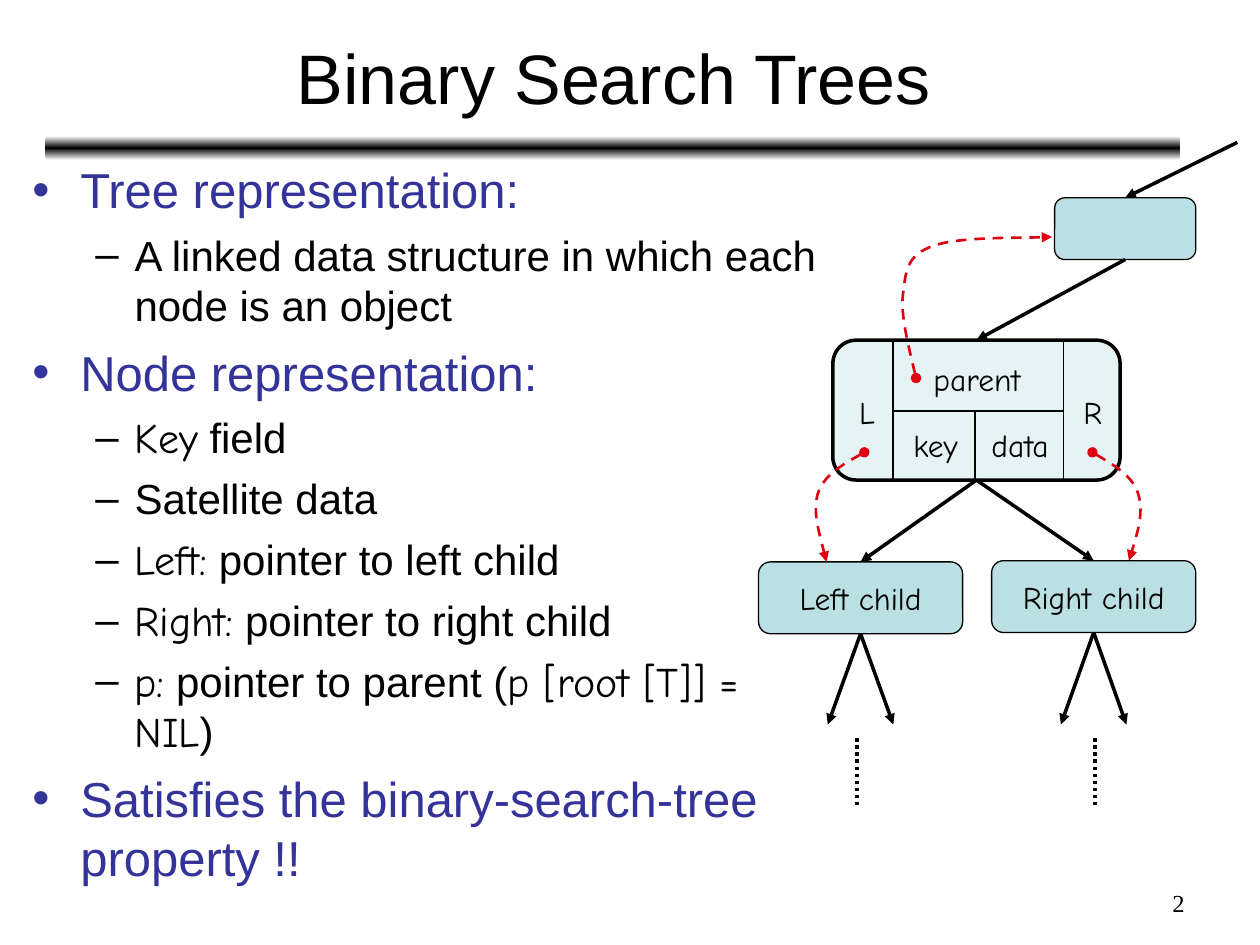
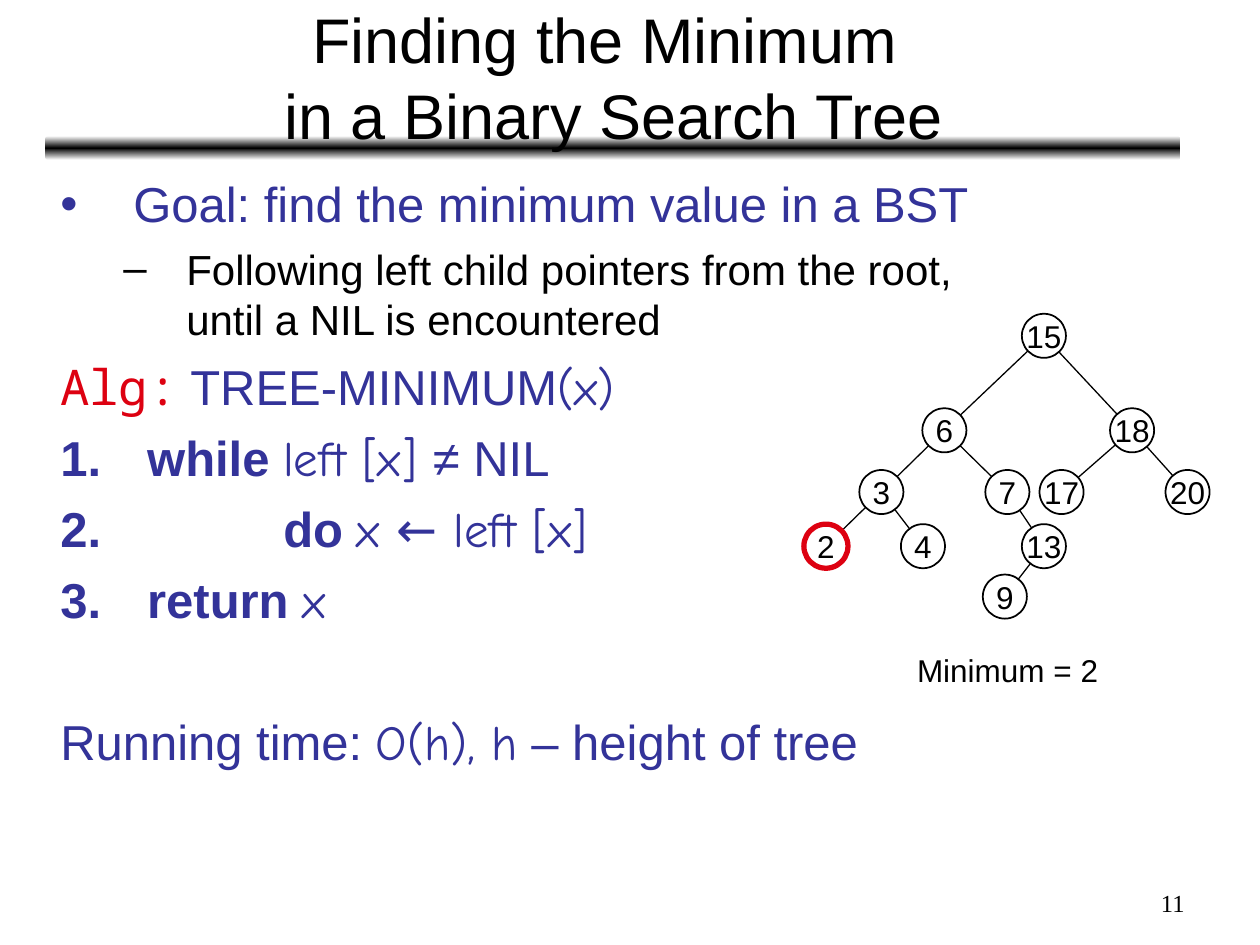
"""Build two lecture slides on binary search trees."""
from copy import deepcopy

from lxml import etree
from pptx import Presentation
from pptx.dml.color import RGBColor
from pptx.enum.dml import MSO_LINE
from pptx.enum.shapes import MSO_CONNECTOR, MSO_SHAPE
from pptx.enum.text import MSO_ANCHOR, MSO_AUTO_SIZE, PP_ALIGN
from pptx.oxml.ns import qn
from pptx.util import Inches, Pt

STRAIGHT = MSO_CONNECTOR.STRAIGHT
ROUNDED, OVAL = MSO_SHAPE.ROUNDED_RECTANGLE, MSO_SHAPE.OVAL
DASH, DOTS = MSO_LINE.DASH, MSO_LINE.ROUND_DOT
MIDDLE, FIT = MSO_ANCHOR.MIDDLE, MSO_AUTO_SIZE.SHAPE_TO_FIT_TEXT
LEFT, CENTER, RIGHT = PP_ALIGN.LEFT, PP_ALIGN.CENTER, PP_ALIGN.RIGHT
TOP_SIDE, BOTTOM_SIDE = 0, 2

COLORS = {"black": "000000", "white": "FFFFFF", "blue": "333399", "red": "DD0111",
          "teal": "BBE0E3", "pale": "E5F3F5"}
SANS, COMIC, MONO, SERIF = "Arial", "Comic Neue", "Noto Sans Mono", "Times New Roman"
LABEL = {"name": COMIC, "size": Pt(18)}
VALUE = {"name": SANS, "size": Pt(18)}
PAGE = {"name": SERIF, "size": Pt(14)}
TOPIC = {"name": SANS, "size": Pt(28), "color": "blue"}
DETAIL = {"name": SANS, "size": Pt(24)}
KEYWORD = {**TOPIC, "bold": True}
TOPIC_COMIC = {**TOPIC, "name": COMIC}
DETAIL_COMIC = {**DETAIL, "name": COMIC}
ALGORITHM = {**TOPIC, "name": MONO, "color": "red"}

TREE_NODES = {15: (8.11, 2.49), 6: (7.32, 3.24), 18: (8.81, 3.24), 3: (6.82, 3.73),
              7: (7.82, 3.73), 17: (8.25, 3.73), 20: (9.25, 3.73), 2: (6.38, 4.16),
              4: (7.15, 4.16), 13: (8.11, 4.16), 9: (7.8, 4.56)}
TREE_EDGES = [(15, 6), (15, 18), (6, 3), (6, 7), (18, 17), (18, 20), (3, 2), (3, 4),
              (7, 13), (13, 9)]
NODE_SIZE = 0.35


def rgb(color):
    """Return the colour of the given name."""
    return RGBColor.from_string(COLORS[color])


def add_runs(paragraph, runs):
    """Add (text, format) runs, turning line feeds into line breaks."""
    for text, values in runs:
        for index, line in enumerate(text.split("\n")):
            if index:
                paragraph.add_line_break()
            run = paragraph.add_run()
            run.text = line
            values = {"color": "black", **values}
            for name, value in values.items():
                if name != "color":
                    setattr(run.font, name, value)
            run.font.color.rgb = rgb(values["color"])


def set_frame(shape, **values):
    """Set text frame attributes and return the frame."""
    for name, value in values.items():
        setattr(shape.text_frame, name, value)
    return shape.text_frame


def add_text(slide, box, text, values, alignment=LEFT, **frame_values):
    """Add a text box holding one paragraph."""
    shape = slide.shapes.add_textbox(*map(Inches, box))
    paragraph = set_frame(shape, **frame_values).paragraphs[0]
    paragraph.alignment = alignment
    add_runs(paragraph, [(text, values)])


def add_shape(slide, kind, box, fill, line="black", width=0.75, text="", values=LABEL):
    """Add a filled, outlined shape with an optional centred label."""
    shape = slide.shapes.add_shape(kind, *map(Inches, box))
    shape.shadow.inherit = False
    shape.fill.solid()
    shape.fill.fore_color.rgb = rgb(fill)
    shape.line.color.rgb = rgb(line)
    shape.line.width = Pt(width)
    if text:
        frame = set_frame(shape, word_wrap=False, vertical_anchor=MIDDLE)
        frame.paragraphs[0].alignment = CENTER
        add_runs(frame.paragraphs[0], [(text, values)])
    return shape


def style_line(shape, color, width, dash=None, **ends):
    """Set colour, width, dash and end marks of a line."""
    shape.line.color.rgb = rgb(color)
    shape.line.width = Pt(width)
    if dash:
        shape.line.dash_style = dash
    outline = shape.element.spPr.find(qn("a:ln"))
    for name, mark in ends.items():
        etree.SubElement(outline, qn(f"a:{name}"), type=mark)


def add_line(slide, start, end, width, dash=None, begin_at=None, end_at=None, **ends):
    """Add a straight line, joined to (shape, side) pairs where given."""
    connector = slide.shapes.add_connector(STRAIGHT, *map(Inches, (*start, *end)))
    if begin_at:
        connector.begin_connect(*begin_at)
    if end_at:
        connector.end_connect(*end_at)
    style_line(connector, "black", width, dash, **ends)
    etree.SubElement(connector.element.spPr, qn("a:effectLst"))


def add_pointer(slide, points):
    """Add a dashed red curve through cubic Bézier points."""
    start, *controls = [tuple(map(Inches, point)) for point in points]
    builder = slide.shapes.build_freeform(*start)
    builder.add_line_segments(controls, close=False)
    shape = builder.convert_to_shape()
    shape.shadow.inherit = False
    shape.fill.background()
    segments = list(shape.element.iter(qn("a:lnTo")))
    outline = segments[0].getparent()
    for first in range(0, len(segments), 3):
        curve = etree.SubElement(outline, qn("a:cubicBezTo"))
        for segment in segments[first:first + 3]:
            curve.append(segment[0])
            outline.remove(segment)
    style_line(shape, "red", 1.5, DASH, headEnd="oval", tailEnd="triangle")


def add_band(slide):
    """Add the gradient band under the title."""
    band = add_shape(slide, ROUNDED, (0.36, 1.08, 9.01, 0.19), "black")
    band.line.fill.background()
    band.fill.gradient()
    band.fill.gradient_angle = 90
    stop_list = next(band.element.iter(qn("a:gsLst")))
    stop_list.insert(1, deepcopy(stop_list[0]))
    stops = zip(band.fill.gradient_stops, (0, 0.5, 1), ("white", "black", "white"))
    for stop, position, color in stops:
        stop.position = position
        stop.color.rgb = rgb(color)


def add_slide(presentation, title, size, number):
    """Add a slide with its band, title and page number."""
    slide = presentation.slides.add_slide(presentation.slide_layouts[6])
    add_band(slide)
    add_text(slide, (0.37, 0.11, 9, 0.99), title, {"name": SANS, "size": Pt(size)},
             CENTER, word_wrap=True, vertical_anchor=MIDDLE)
    add_text(slide, (7.17, 7, 2.33, 0.35), str(number), PAGE, RIGHT, word_wrap=True)
    return slide


def add_body(slide, box, paragraphs):
    """Add a text box of (bullet, margin, hanging, space before, runs) paragraphs."""
    frame = set_frame(slide.shapes.add_textbox(*map(Inches, box)), word_wrap=True)
    for index, (bullet, margin, hanging, space, runs) in enumerate(paragraphs):
        paragraph = frame.add_paragraph() if index else frame.paragraphs[0]
        paragraph.space_before = Pt(space)
        add_runs(paragraph, runs)
        properties = paragraph._p.get_or_add_pPr()
        properties.set("marL", str(Inches(margin)))
        properties.set("indent", str(-Inches(hanging)))
        if bullet:
            color = COLORS[runs[0][1].get("color", "black")]
            holder = etree.SubElement(properties, qn("a:buClr"))
            etree.SubElement(holder, qn("a:srgbClr"), val=color)
            etree.SubElement(properties, qn("a:buFont"), typeface=SANS)
        if bullet == "1.":
            etree.SubElement(properties, qn("a:buAutoNum"), type="arabicPeriod")
        elif bullet:
            etree.SubElement(properties, qn("a:buChar"), char=bullet)


def add_node_diagram(slide):
    """Draw a tree node with its fields, parent and children."""
    parent = add_shape(slide, ROUNDED, (8.37, 1.57, 1.12, 0.49), "teal")
    node = add_shape(slide, ROUNDED, (6.61, 2.7, 2.28, 1.11), "pale", width=2)
    left = add_shape(slide, ROUNDED, (6.02, 4.46, 1.62, 0.57), "teal", text="Left child")
    right = add_shape(slide, ROUNDED, (7.87, 4.45, 1.62, 0.57), "teal", text="Right child")

    for start, end in [((7.09, 2.7), (7.09, 3.81)), ((8.44, 2.7), (8.44, 3.81)),
                       ((7.09, 3.26), (8.44, 3.26)), ((7.74, 3.26), (7.74, 3.81))]:
        add_line(slide, start, end, 1)
    for text, x, y, width in [("L", 6.72, 3.07, 0.32), ("R", 8.5, 3.07, 0.35),
                              ("parent", 7.31, 2.81, 0.89), ("key", 7.15, 3.33, 0.56),
                              ("data", 7.77, 3.33, 0.66)]:
        add_text(slide, (x, y, width, 0.4), text, LABEL, word_wrap=False, auto_size=FIT)

    add_line(slide, (9.82, 1.13), (8.93, 1.57), 2, end_at=(parent, TOP_SIDE),
             tailEnd="triangle")
    for upper, lower in [(parent, node), (node, left), (node, right)]:
        add_line(slide, (0, 0), (1, 1), 2, begin_at=(upper, BOTTOM_SIDE),
                 end_at=(lower, TOP_SIDE), tailEnd="triangle")
    for child, x, dots_x in [(left, 6.83, 6.8), (right, 8.68, 8.69)]:
        for offset in (-0.26, 0.26):
            add_line(slide, (x, 5.03), (x + offset, 5.75), 2,
                     begin_at=(child, BOTTOM_SIDE), tailEnd="triangle")
        add_line(slide, (dots_x, 5.86), (dots_x, 6.4), 2, DOTS)

    add_pointer(slide, [(6.86, 3.59), (6.7, 3.68), (6.54, 3.77), (6.49, 3.92),
                        (6.45, 4.06), (6.51, 4.26), (6.56, 4.46)])
    add_pointer(slide, [(8.67, 3.59), (8.82, 3.68), (8.98, 3.77), (9.03, 3.91),
                        (9.08, 4.06), (9.02, 4.26), (8.96, 4.45)])
    add_pointer(slide, [(7.27, 3), (7.21, 2.74), (7.14, 2.48), (7.17, 2.31), (7.19, 2.13),
                        (7.21, 2.02), (7.41, 1.95), (7.61, 1.88), (8.2, 1.89), (8.35, 1.88)])


def add_search_tree(slide, minimum):
    """Draw the example tree with its minimum ringed in red."""
    centers = {key: (x + NODE_SIZE / 2, y + NODE_SIZE / 2)
               for key, (x, y) in TREE_NODES.items()}
    for upper, lower in TREE_EDGES:
        add_line(slide, centers[upper], centers[lower], 0.75)
    for key, corner in TREE_NODES.items():
        line, width = ("red", 3) if key == minimum else ("black", 1)
        add_shape(slide, OVAL, (*corner, NODE_SIZE, NODE_SIZE), "white", line, width,
                  str(key), VALUE)
    add_text(slide, (7.18, 5.12, 1.64, 0.4), f"Minimum = {minimum}", VALUE,
             word_wrap=False, auto_size=FIT)


def add_representation_slide(presentation):
    """Add the slide on how trees and nodes are represented."""
    slide = add_slide(presentation, "Binary Search Trees", 40, 2)
    topic, detail = ("•", 0.38, 0.38, 7), ("–", 0.81, 0.31, 6)
    add_body(slide, (0.16, 1.22, 6.43, 5.93), [
        (*topic, [("Tree representation:", TOPIC)]),
        (*detail, [("A linked data structure in which each node is an object", DETAIL)]),
        (*topic, [("Node representation:", TOPIC)]),
        (*detail, [("Key", DETAIL_COMIC), (" field", DETAIL)]),
        (*detail, [("Satellite data", DETAIL)]),
        (*detail, [("Left:", DETAIL_COMIC), (" pointer to left child", DETAIL)]),
        (*detail, [("Right:", DETAIL_COMIC), (" pointer to right child", DETAIL)]),
        (*detail, [("p:", DETAIL_COMIC), (" pointer to parent (", DETAIL),
                   ("p [root [T]] = NIL", DETAIL_COMIC), (")", DETAIL)]),
        (*topic, [("Satisfies the binary-search-tree property !!", TOPIC)]),
    ])
    add_node_diagram(slide)


def add_minimum_slide(presentation):
    """Add the slide on finding the minimum."""
    slide = add_slide(presentation, "Finding the Minimum \nin a Binary Search Tree", 36, 11)
    step, inner_step = ("1.", 0.69, 0.69, 7), ("1.", 1.77, 1.77, 7)
    add_body(slide, (0.38, 1.33, 7.62, 5.54), [
        ("•", 0.58, 0.58, 7, [("Goal: find the minimum value in a BST", TOPIC)]),
        ("–", 1, 0.5, 6, [("Following left child pointers from the root, "
                           "until a NIL is encountered", DETAIL)]),
        ("", 0, 0, 7, [("Alg:", ALGORITHM), (" TREE-MINIMUM", TOPIC),
                       ("(x)", TOPIC_COMIC)]),
        (*step, [("while ", KEYWORD), ("left [x] ", TOPIC_COMIC), ("≠ NIL", TOPIC)]),
        (*inner_step, [("do ", KEYWORD), ("x ← left [x]", TOPIC_COMIC)]),
        (*step, [("return ", KEYWORD), ("x", TOPIC_COMIC)]),
        ("", 0, 0, 47.5, [("Running time: ", TOPIC), ("O(h), h", TOPIC_COMIC),
                          (" – height of tree", TOPIC)]),
    ])
    add_search_tree(slide, min(TREE_NODES))


def main():
    """Build and save the presentation."""
    presentation = Presentation()
    presentation.slide_width, presentation.slide_height = Inches(10), Inches(7.5)
    add_representation_slide(presentation)
    add_minimum_slide(presentation)
    presentation.save("out.pptx")


if __name__ == "__main__":
    main()
